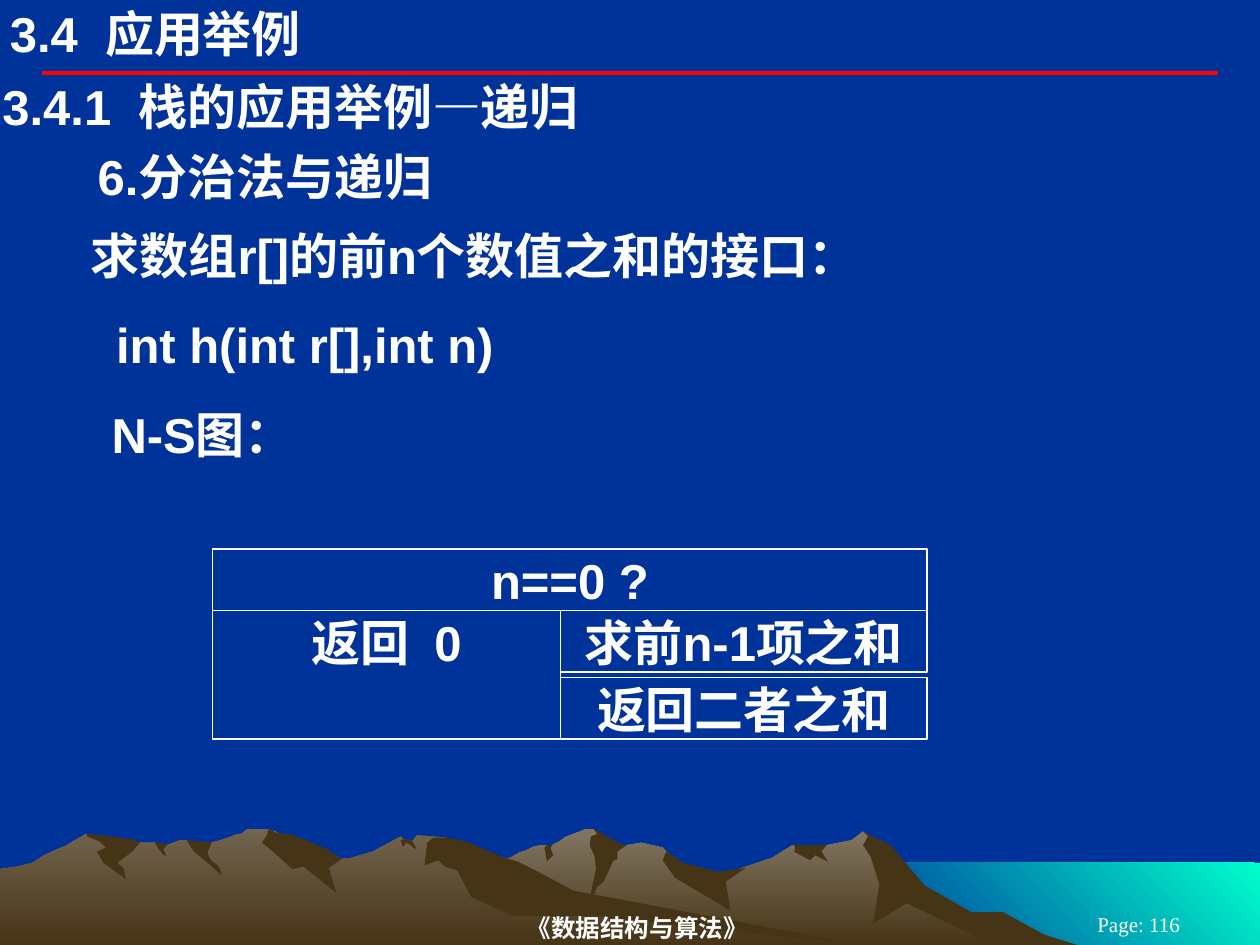
from lxml import etree
from pptx import Presentation
from pptx.dml.color import RGBColor
from pptx.enum.shapes import MSO_CONNECTOR, MSO_SHAPE
from pptx.enum.text import MSO_ANCHOR, MSO_AUTO_SIZE, PP_ALIGN
from pptx.oxml.ns import qn
from pptx.util import Cm, Pt

LINE, RECT = MSO_CONNECTOR.STRAIGHT, MSO_SHAPE.RECTANGLE
TOP, MID = MSO_ANCHOR.TOP, MSO_ANCHOR.MIDDLE
LEFT, CENTER = PP_ALIGN.LEFT, PP_ALIGN.CENTER
FIXED = MSO_AUTO_SIZE.NONE
UNIT = Cm(0.0254)
WHITE, NAVY, RED = "FFFFFF", "003399", "FF0000"
AQUA, SAND, CLAY, EARTH = "00FFCC", "837763", "72644E", "463416"
GAP = "~"

HEAD = {"name": "Arial", "size": Pt(28), "bold": True}
FOOT = {"name": "Times New Roman", "size": Pt(14), "bold": True}
PAGE = {"name": "Times New Roman", "size": Pt(12), "bold": False}

SEA = "1000,94 683,94 683,27 1000,27"
PEAK = """802,82 778,69 764,65 723,40 702,13 685,2 676,9 656,13 629,13 613,23
566,39 536,32 529,18 526,15 509,11 497,13 486,15 474,3 471,0 465,0 450,6
448,7 444,10 438,13 433,13 430,13 424,14 418,17 412,19 405,23 399,25 395,26
394,27 355,40 327,51 277,81 258,93 821,93"""
RIDGE = """690,93 689,93 667,90 432,54 354,7 331,5 327,10 323,10 318,6 296,18
279,23 271,24 260,18 236,23 223,5 222,4 219,2 215,1 212,0 196,0 194,2 191,4
189,4 186,5 178,8 168,11 160,13 148,9 143,9 132,13 128,13 123,11 111,11 94,13
68,4 56,11 53,13 46,16 35,21 26,27 14,30 0,32 0,93"""
SHADE = [
    """796,66 771,66 734,45 707,13 685,2 689,6 685,13 691,22 698,44 693,75
    720,59 792,94 858,93 829,84""",
    """471,0 474,4 469,6 468,13 472,22 473,32 465,69 474,46 479,42 487,25
    490,24 490,18 497,13 493,12""",
    "529,18 528,20 526,25 536,39 580,65 576,42 592,31 570,34 542,27",
    "650,13 630,13 631,14 631,17 630,18 643,25 647,21 657,26 652,18 656,13",
    "433,19 432,15 434,13 438,13 439,12 437,15 439,21 434,26",
]
FOLDS = [
    """212,5 208,11 219,20 232,32 241,30 267,51 261,31 271,24 270,23 266,21
    260,16 252,13 245,10 238,7 232,5 230,4 224,4 219,3 215,1 213,1""",
    """370,10 361,8 354,7 344,7 339,11 337,29 348,25 353,30 363,33 374,54
    407,69 472,69 690,93 683,92 455,49 427,34 411,26 401,23 386,17""",
    """318,9 319,9 320,8 319,7 318,6 323,9 327,9 328,11 329,13 330,15 330,16
    328,15 326,13 322,11 322,12 320,14 319,14 319,12""",
    """154,9 157,10 161,10 168,11 165,18 165,20 167,24 169,26 173,29 175,33
    176,36 176,37 165,27 154,18 148,9""",
    "133,12 130,16 130,17 132,21 132,22 131,21 129,20 127,17 126,16 123,11",
    """109,10 111,11 105,18 93,27 98,31 100,40 82,27 77,18 84,15 79,10 69,6
    69,4 71,4 77,5 84,5 86,6 90,6 94,7 104,8""",
]


def hue(code):
    """Turn a hex string into a colour."""
    return RGBColor.from_string(code)


def apply(item, vals):
    """Set each named value on an item."""
    for key, val in vals.items():
        setattr(item, key, val)


def write(shape, text, font=HEAD, align=LEFT, anchor=TOP, pad=(0.05, 0.03), indent=0):
    """Put white text in a shape, with a wide space at each gap mark."""
    frame = shape.text_frame
    apply(frame, {"word_wrap": True, "auto_size": FIXED, "vertical_anchor": anchor,
                  "margin_left": Cm(pad[0]), "margin_right": Cm(pad[0]),
                  "margin_top": Cm(pad[1]), "margin_bottom": Cm(pad[1])})
    para = frame.paragraphs[0]
    para.alignment = align
    if indent:
        para._p.get_or_add_pPr().set("marL", str(Cm(indent)))
    for part in text.partition(GAP):
        if part:
            run = para.add_run()
            run.text = " " if part == GAP else part
            apply(run.font, font)
            run.font.color.rgb = hue(WHITE)
            if part == GAP:
                run._r.get_or_add_rPr().set("spc", "780")


def label(slide, box, text, **form):
    """Add a text box."""
    write(slide.shapes.add_textbox(*map(Cm, box)), text, **form)


def shade(slide, x, y, spots, tones, angle=270):
    """Draw one filled outline from its corner points."""
    pts = [tuple(map(int, spot.split(","))) for spot in spots.split()]
    pen = slide.shapes.build_freeform(*pts[0], scale=UNIT)
    pen.add_line_segments(pts[1:], close=True)
    shape = pen.convert_to_shape(Cm(x), Cm(y))
    shape.shadow.inherit = False
    shape.line.fill.background()
    if len(tones) == 1:
        shape.fill.solid()
        shape.fill.fore_color.rgb = hue(tones[0])
        return
    shape.fill.gradient()
    shape.fill.gradient_angle = angle
    for stop, tone in zip(shape.fill.gradient_stops, tones):
        stop.color.rgb = hue(tone)


def scene(slide, x, y):
    """Draw the sea and the hills."""
    shade(slide, x, y, SEA, (AQUA, NAVY), 225)
    shade(slide, x, y, PEAK, (SAND, EARTH))
    for spots in SHADE:
        shade(slide, x, y, spots, (EARTH,))
    shade(slide, x, y, RIDGE, (CLAY, EARTH))
    for spots in FOLDS:
        shade(slide, x, y, spots, (EARTH,))


def footer(slide, x, y):
    """Write the course name and the page number."""
    label(slide, (x, y, 15.14, 0.71), "《数据结构与算法》", font=FOOT,
          align=CENTER, anchor=MID, pad=(0, 0.03))
    label(slide, (x + 15.67, y + 0.08, 4.01, 0.43), "Page: 116", font=PAGE,
          align=CENTER, anchor=MID, pad=(0.25, 0.13))


def header(slide, x, y):
    """Place the title and the red rule below it."""
    title = slide.shapes.title
    apply(title, {"left": Cm(x), "top": Cm(y), "width": Cm(16.51), "height": Cm(1.19)})
    write(title, "3.4~应用举例", pad=(0, 0))
    rule = slide.shapes.add_connector(
        LINE, *map(Cm, (x + 0.64, y + 1.39, x + 24.36, y + 1.39)))
    rule.line.color.rgb = hue(RED)
    rule.line.width = Pt(2.25)
    etree.SubElement(rule._element.spPr, qn("a:effectLst"))


def body(slide, x, y, w):
    """Write the lines of the lesson."""
    rows = [(0, 0, "3.4.1~栈的应用举例—递归"), (1.4, 1.92, "6.分治法与递归"),
            (3, 1.78, "求数组r[]的前n个数值之和的接口："),
            (4.8, 2.29, "int h(int r[],int n)"), (6.6, 2.2, "N-S图：")]
    for drop, indent, text in rows:
        label(slide, (x, y + drop, w, 1.24), text, indent=indent)


def chart(slide, x, y, w):
    """Draw the N-S chart: a test over two branches."""
    high, gap, yes = 1.24, 0.11, 7.01
    mid, no = x + yes, w - yes
    cells = [(x, y, w, high, "n==0 ?"),
             (x, y + high, yes, 2 * high + gap, "返回~0"),
             (mid, y + high, no, high, "求前n-1项之和"),
             (mid, y + 2 * high + gap, no, high, "返回二者之和")]
    for *box, text in cells:
        cell = slide.shapes.add_shape(RECT, *map(Cm, box))
        cell.shadow.inherit = False
        cell.fill.background()
        cell.line.color.rgb = hue(WHITE)
        cell.line.width = Pt(0.75)
        write(cell, text, align=CENTER)


def main():
    """Build and save the slide."""
    deck = Presentation()
    apply(deck, {"slide_width": Cm(25.4), "slide_height": Cm(19.05)})
    slide = deck.slides.add_slide(deck.slide_layouts[5])
    slide.background.fill.solid()
    slide.background.fill.fore_color.rgb = hue(NAVY)
    scene(slide, 0, 16.71)
    footer(slide, 5.28, 18.34)
    header(slide, 0.2, 0.08)
    body(slide, 0, 1.52, 25.4)
    chart(slide, 4.29, 11.07, 14.4)
    deck.save("out.pptx")


if __name__ == "__main__":
    main()
